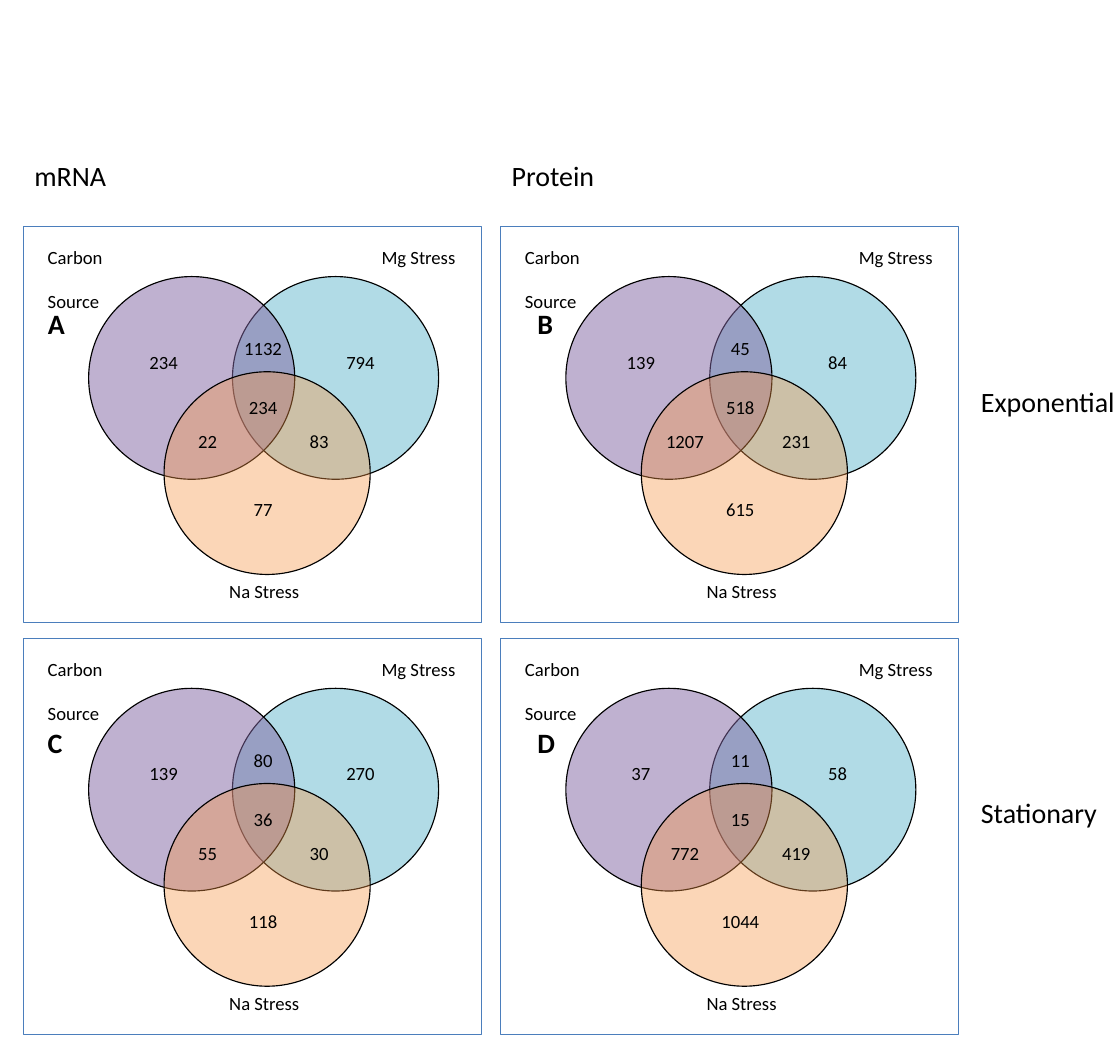
"""Build a two by two grid of three-set Venn diagrams comparing mRNA and protein counts."""
from lxml import etree
from pptx import Presentation
from pptx.dml.color import RGBColor
from pptx.enum import shapes, text
from pptx.oxml.ns import qn
from pptx.util import Pt

BLACK = RGBColor(0x00, 0x00, 0x00)
FRAME_BLUE = RGBColor(0x4B, 0x7E, 0xBC)
AQUA = RGBColor(0x4B, 0xAC, 0xC6)
PURPLE = RGBColor(0x80, 0x64, 0xA2)
ORANGE = RGBColor(0xF7, 0x96, 0x46)

PANELS = [
    ("A", 0, 0, (234, 1132, 794, 22, 234, 83, 77)),
    ("C", 0, 1, (139, 80, 270, 55, 36, 30, 118)),
    ("B", 1, 0, (139, 45, 84, 1207, 518, 231, 615)),
    ("D", 1, 1, (37, 11, 58, 772, 15, 419, 1044)),
]
COLUMNS = [("mRNA", 61), ("Protein", 68.5)]
ROWS = [("Exponential", 101.5), ("Stationary", 90)]
LETTER_WIDTHS = {"A": 26, "B": 24.5, "C": 24.5, "D": 26}

CIRCLES = [(134.5, 32.3, AQUA, 43), (42, 32.3, PURPLE, 50), (90.5, 93.5, ORANGE, 39)]
COUNT_SPOTS = [(69.3, 76.3), (133.2, 67.5), (195.8, 76.3), (97.6, 127.3),
               (133.2, 105.3), (169.2, 127.3), (133.2, 171.3)]
SET_LABELS = [(["Carbon", "Source"], 8.6, 9, 50.4, 50.4),
              (["Mg Stress"], 223.2, 9, 63.4, 21.8),
              (["Na Stress"], 125.3, 223.8, 61.2, 21.8)]

LEFT, TOP = 15, 145.5
COLUMN_STEP, ROW_STEP = 306.8, 264.7
PANEL_WIDTH, PANEL_HEIGHT = 294.5, 254.8
CIRCLE_WIDTH, CIRCLE_HEIGHT = 132.5, 130.3
LETTER_X, LETTER_Y = (8.6, 16.6), (48.2, 52.6)
HEADING_Y, ROW_NAME_X, ROW_NAME_DROP = 98.6, 623.5, 97.9
HEADING_HEIGHT = 29


def add_outline(parent, kind, box, line_color, fill=None, opacity=100):
    outline = parent.add_shape(kind, *map(Pt, box))
    outline.shadow.inherit = False
    outline.line.color.rgb = line_color
    outline.line.width = Pt(0.75)
    if fill is None:
        outline.fill.background()
        return
    outline.fill.solid()
    outline.fill.fore_color.rgb = fill
    color = outline.fill._xPr.find(qn("a:solidFill"))[0]
    etree.SubElement(color, qn("a:alpha")).set("val", str(opacity * 1000))


def add_words(parent, lines, box, size=12, bold=False, centered=False):
    frame = parent.add_textbox(*map(Pt, box)).text_frame
    frame.word_wrap = centered
    frame.auto_size = text.MSO_AUTO_SIZE.SHAPE_TO_FIT_TEXT
    frame.text = "\n".join(lines)
    for order, line in enumerate(frame.paragraphs):
        line.font.name = "Calibri"
        line.font.size = Pt(size)
        line.font.bold = bold
        line.font.color.rgb = BLACK
        line.alignment = text.PP_ALIGN.CENTER if centered else text.PP_ALIGN.LEFT
        if order:
            line.space_before = Pt(14)


def corner(column, row):
    return LEFT + column * COLUMN_STEP, TOP + row * ROW_STEP


def add_venn(slide, column, row, counts):
    x, y = corner(column, row)
    venn = slide.shapes.add_group_shape().shapes
    for dx, dy, color, opacity in CIRCLES:
        add_outline(venn, shapes.MSO_SHAPE.OVAL,
                    (x + dx, y + dy, CIRCLE_WIDTH, CIRCLE_HEIGHT), BLACK, color, opacity)
    for count, (dx, dy) in zip(counts, COUNT_SPOTS):
        add_words(venn, [str(count)], (x + dx, y + dy, 41.8, 21.8), centered=True)
    for lines, dx, dy, width, height in SET_LABELS:
        add_words(venn, lines, (x + dx, y + dy, width, height))
    add_outline(venn, shapes.MSO_SHAPE.RECTANGLE,
                (x, y, PANEL_WIDTH, PANEL_HEIGHT), FRAME_BLUE)


deck = Presentation()
deck.slide_width, deck.slide_height = Pt(720), Pt(684)
slide = deck.slides.add_slide(deck.slide_layouts[6])

for letter, column, row, counts in PANELS:
    add_venn(slide, column, row, counts)

for column, (heading, width) in enumerate(COLUMNS):
    add_words(slide.shapes, [heading],
              (corner(column, 0)[0], HEADING_Y, width, HEADING_HEIGHT), 18)

for row, (row_name, width) in enumerate(ROWS):
    add_words(slide.shapes, [row_name],
              (ROW_NAME_X, corner(0, row)[1] + ROW_NAME_DROP, width, HEADING_HEIGHT), 18)

for letter, column, row, counts in PANELS:
    x, y = corner(column, row)
    add_words(slide.shapes, [letter],
              (x + LETTER_X[column], y + LETTER_Y[row], LETTER_WIDTHS[letter], HEADING_HEIGHT),
              18, bold=True)

deck.save("out.pptx")
